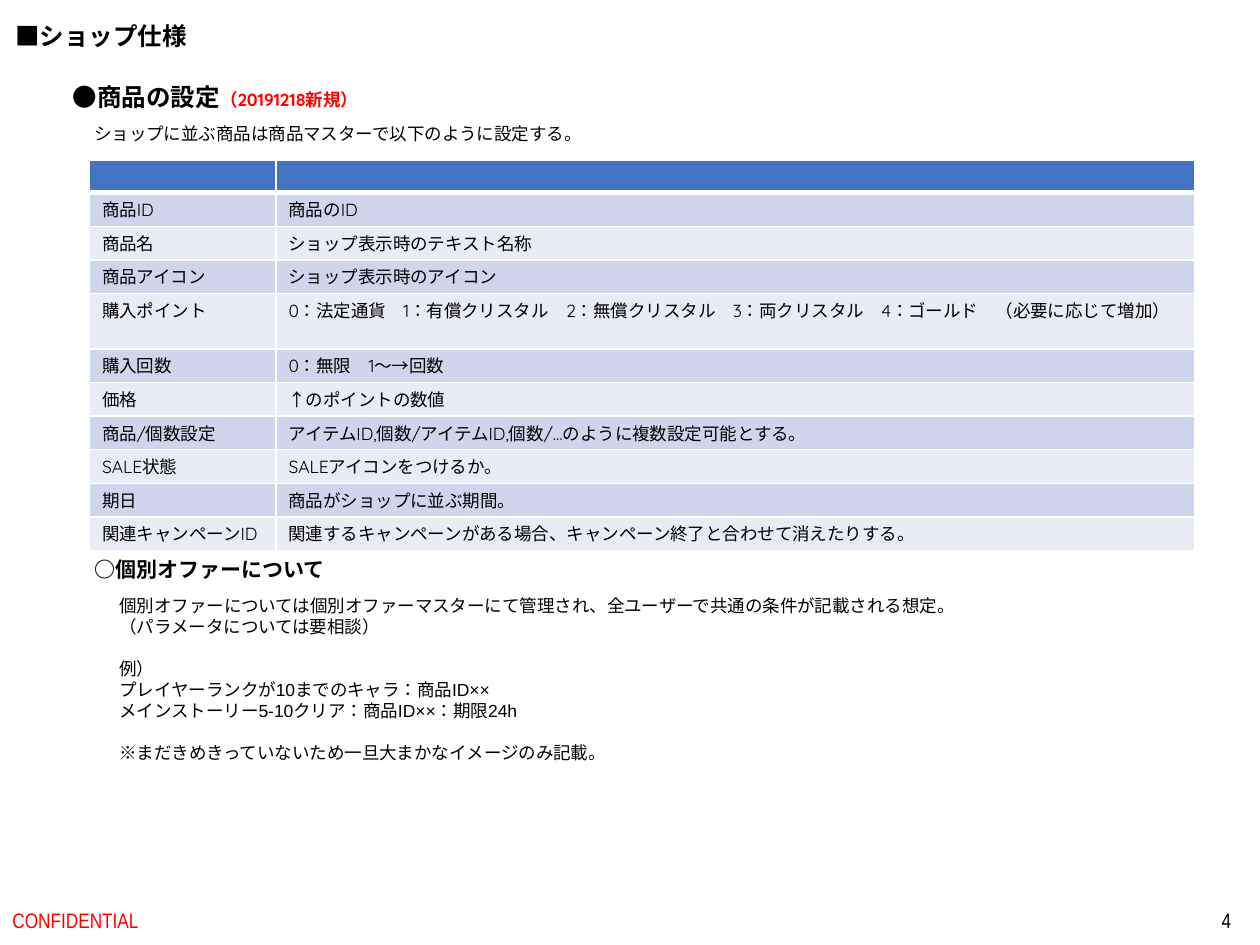
from lxml.etree import SubElement
from pptx import Presentation
from pptx.dml.color import RGBColor
from pptx.enum.lang import MSO_LANGUAGE_ID
from pptx.enum.text import MSO_ANCHOR, MSO_AUTO_SIZE, PP_ALIGN
from pptx.oxml.ns import qn
from pptx.util import Inches, Pt

BLACK = RGBColor(0x00, 0x00, 0x00)
WHITE = RGBColor(0xFF, 0xFF, 0xFF)
RED = RGBColor(0xFF, 0x00, 0x00)
HEADER_BLUE = RGBColor(0x44, 0x72, 0xC4)
BAND_DARK = RGBColor(0xCF, 0xD5, 0xEA)
BAND_LIGHT = RGBColor(0xE9, 0xEB, 0xF5)

TABLE_HEIGHT, HEADER_HEIGHT, TALL_HEIGHT = 3.1, 0.26, 0.44
TALL_ROW = "購入ポイント"
COLUMN_WIDTHS = (1.48, 7.29)
ITEM_FIELDS = [
    ("商品ID", "商品のID"),
    ("商品名", "ショップ表示時のテキスト名称"),
    ("商品アイコン", "ショップ表示時のアイコン"),
    (TALL_ROW, "0：法定通貨　1：有償クリスタル　2：無償クリスタル　"
               "3：両クリスタル　4：ゴールド　（必要に応じて増加）"),
    ("購入回数", "0：無限　1～→回数"),
    ("価格", "↑のポイントの数値"),
    ("商品/個数設定", "アイテムID,個数/アイテムID,個数/…のように複数設定可能とする。"),
    ("SALE状態", "SALEアイコンをつけるか。"),
    ("期日", "商品がショップに並ぶ期間。"),
    ("関連キャンペーンID", "関連するキャンペーンがある場合、キャンペーン終了と合わせて消えたりする。"),
]
# Groups of lines, set apart by paragraph spacing
OFFER_GROUPS = [
    ["個別オファーについては個別オファーマスターにて管理され、全ユーザーで共通の条件が記載される想定。",
     "（パラメータについては要相談）"],
    ["例）", "プレイヤーランクが10までのキャラ：商品ID××",
     "メインストーリー5-10クリア：商品ID××：期限24h"],
    ["※まだきめきっていないため一旦大まかなイメージのみ記載。"],
]


def apply_format(target, values):
    for name, value in values.items():
        setattr(target, name, value)


class SlideWriter:
    body = {"name": "Quicksand", "size": Pt(10), "bold": False,
            "language_id": MSO_LANGUAGE_ID.JAPANESE}

    def __init__(self, page):
        self.page = page

    def span(self, para, text, color=BLACK, **changes):
        span = para.add_run()
        span.text = text
        apply_format(span.font, {**self.body, **changes})
        span.font.color.rgb = color

    def title(self, place, text, **changes):
        box = self.page.shapes.title
        self.place(box, place)
        para = box.text_frame.paragraphs[0]
        para.alignment = PP_ALIGN.LEFT
        self.span(para, text, **changes)

    def place(self, box, place, **changes):
        names = ("left", "top", "width", "height")
        apply_format(box, dict(zip(names, map(Inches, place))))
        frame = {"word_wrap": False, "vertical_anchor": MSO_ANCHOR.TOP,
                 "auto_size": MSO_AUTO_SIZE.SHAPE_TO_FIT_TEXT}
        apply_format(box.text_frame, {**frame, **changes})

    def text(self, place, spans, align=PP_ALIGN.LEFT, **changes):
        """Add a one-line box; each span is (text, format)."""
        box = self.page.shapes.add_textbox(*map(Inches, place))
        self.place(box, place, **changes)
        para = box.text_frame.paragraphs[0]
        para.alignment = align
        for text, values in spans:
            self.span(para, text, **values)
        return box

    def line_groups(self, place, groups, **changes):
        box = self.text(place, [])
        para = box.text_frame.paragraphs[0]
        for group_index, group in enumerate(groups):
            for line_index, line in enumerate(group):
                if group_index or line_index:
                    para = box.text_frame.add_paragraph()
                if group_index and not line_index:
                    para.space_before = Pt(12)
                self.span(para, line, **changes)

    def footer(self, place, text, color, align):
        values = {"name": "Arial Narrow", "size": Pt(12), "color": color}
        self.text(place, [(text, values)], align, word_wrap=True,
                  vertical_anchor=MSO_ANCHOR.MIDDLE, auto_size=MSO_AUTO_SIZE.NONE)

    def cell(self, cell, text, fill, bottom_width=1):
        apply_format(cell, {"margin_top": Inches(0.03), "margin_bottom": 0})
        para = cell.text_frame.paragraphs[0]
        if text:
            self.span(para, text)
        else:
            para._p.get_or_add_endParaRPr().set("sz", "1000")
        properties = cell._tc.get_or_add_tcPr()
        for side, width in (("L", 1), ("R", 1), ("T", 1), ("B", bottom_width)):
            line = SubElement(properties, qn(f"a:ln{side}"), w=str(Pt(width)))
            paint = SubElement(line, qn("a:solidFill"))
            SubElement(paint, qn("a:srgbClr"), val=str(WHITE))
        cell.fill.solid()
        cell.fill.fore_color.rgb = fill

    def table(self, left, top, rows):
        table = self.page.shapes.add_table(
            len(rows) + 1, len(COLUMN_WIDTHS), Inches(left), Inches(top),
            Inches(sum(COLUMN_WIDTHS)), Inches(TABLE_HEIGHT)).table
        for column, width in zip(table.columns, COLUMN_WIDTHS):
            column.width = Inches(width)
        # Header row
        table.rows[0].height = Inches(HEADER_HEIGHT)
        for cell in table.rows[0].cells:
            self.cell(cell, "", HEADER_BLUE, bottom_width=3)
        # Banded body rows share the height left by the two-line row
        row_height = (TABLE_HEIGHT - HEADER_HEIGHT - TALL_HEIGHT) / (len(rows) - 1)
        for index, texts in enumerate(rows, start=1):
            row = table.rows[index]
            row.height = Inches(TALL_HEIGHT if texts[0] == TALL_ROW else row_height)
            fill = BAND_DARK if index % 2 else BAND_LIGHT
            for cell, text in zip(row.cells, texts):
                self.cell(cell, text, fill)


def main():
    deck = Presentation()
    deck.slide_width, deck.slide_height = Inches(10), Inches(7.5)
    writer = SlideWriter(deck.slides.add_slide(deck.slide_layouts[5]))

    # Title and footer
    writer.title((0.02, 0.12, 1.58, 0.34), "■ショップ仕様",
                 name="Arial", size=Pt(14), bold=True)
    writer.footer((0, 7.1, 3.38, 0.4), "CONFIDENTIAL", RED, PP_ALIGN.LEFT)
    writer.footer((7.62, 7.1, 2.25, 0.4), "4", BLACK, PP_ALIGN.RIGHT)

    # Item settings
    writer.text((0.48, 0.6, 2.57, 0.34), [
        ("●商品の設定", {"size": Pt(14), "bold": True}),
        ("（20191218新規）", {"bold": True, "color": RED})])
    writer.text((0.65, 0.93, 4.13, 0.27),
                [("ショップに並ぶ商品は商品マスターで以下のように設定する。", {})])
    writer.table(0.71, 1.27, ITEM_FIELDS)

    # Individual offers
    writer.text((0.65, 4.37, 2.05, 0.3),
                [("○個別オファーについて", {"size": Pt(12), "bold": True})])
    writer.line_groups((0.85, 4.67, 6.93, 1.45), OFFER_GROUPS, name="Arial")

    deck.save("out.pptx")


if __name__ == "__main__":
    main()
